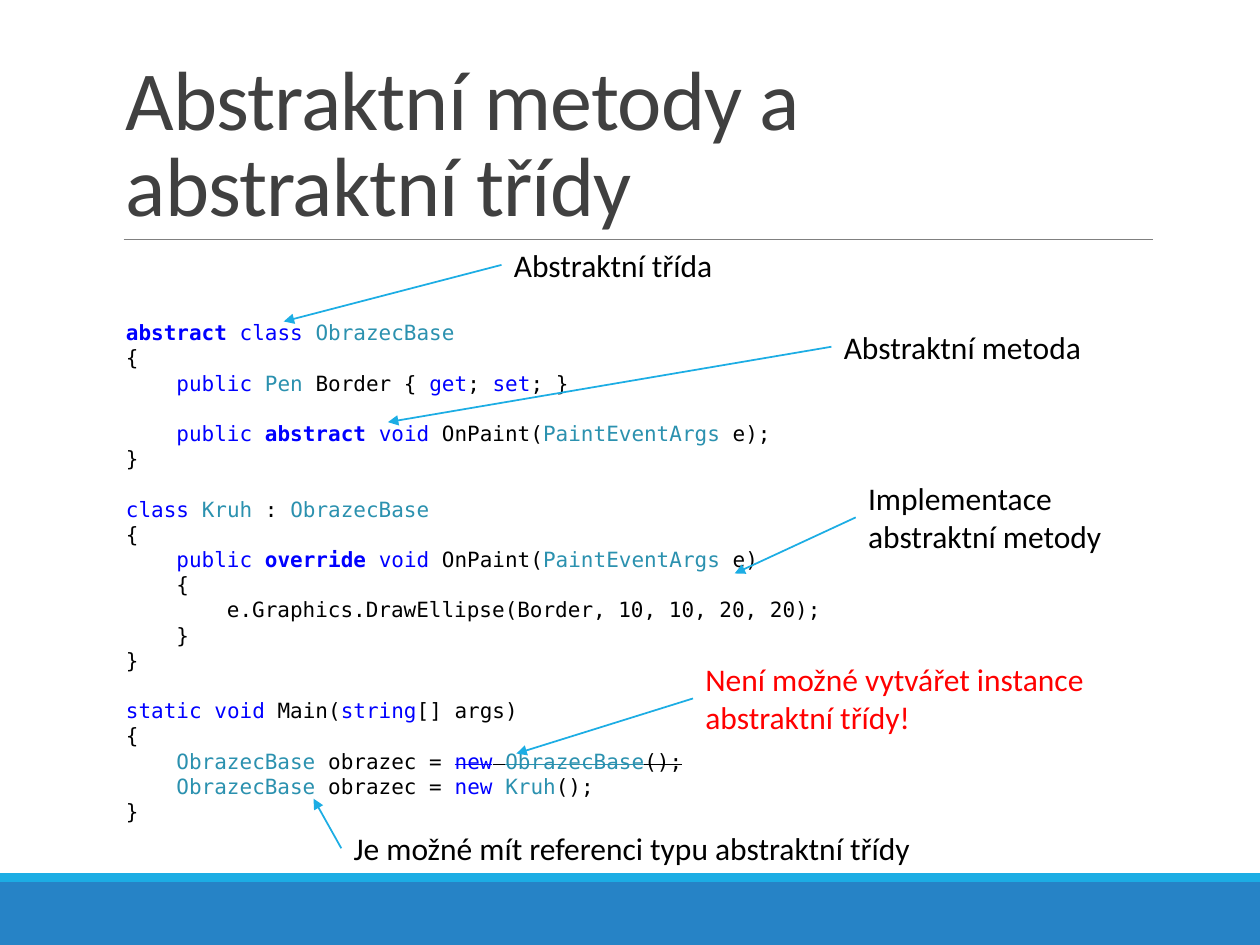
from lxml import etree
from pptx import Presentation
from pptx.dml.color import RGBColor
from pptx.enum import shapes, text
from pptx.oxml.ns import qn
from pptx.util import Cm, Pt

BLUE = RGBColor(0x26, 0x83, 0xC6)
CYAN = RGBColor(0x1C, 0xAD, 0xE4)
GRAY = RGBColor(0x80, 0x80, 0x80)
DARK = RGBColor(0x40, 0x40, 0x40)
BLACK = RGBColor(0, 0, 0)
RED = RGBColor(0xFF, 0, 0)
KEYWORD = RGBColor(0, 0, 0xFF)
TYPE = RGBColor(0x2B, 0x91, 0xAF)

KEYWORDS = {"abstract", "class", "public", "get", "set", "void", "override", "static", "string", "new"}
TYPES = {"ObrazecBase", "Pen", "PaintEventArgs", "Kruh"}
BOLD = {"abstract", "override"}
CODE = """abstract| |class| |ObrazecBase
{
    |public| |Pen| Border { |get|; |set|; }

    |public| |abstract| |void| OnPaint(|PaintEventArgs| e);
}

class| |Kruh| : |ObrazecBase
{
    |public| |override| |void| OnPaint(|PaintEventArgs| e)
    {
        e.Graphics.DrawEllipse(Border, 10, 10, 20, 20);
    }
}

static| |void| Main(|string|[] args)
{
    |ObrazecBase| obrazec = |~new|~ |~ObrazecBase|~();
    |ObrazecBase| obrazec = |new| |Kruh|();
}"""
CODE_PITCH = Pt(14.4)

CAPTIONS = [
    ("Abstraktní metoda", BLACK, 16.76, 6.48, 5.51, 1.02, 7.82, 8.51),
    ("Implementace abstraktní metody", BLACK, 17.25, 9.53, 6.2, 1.8, 14.81, 11.56),
    ("Abstraktní třída", BLACK, 10.11, 4.83, 5.51, 1.02, 5.72, 6.48),
    ("Není možné vytvářet instance abstraktní třídy!", RED, 13.97, 13.18, 8.31, 1.8, 10.41, 15.19),
    ("Je možné mít referenci typu abstraktní třídy", BLACK, 6.88, 16.59, 13.61, 1.02, 6.32, 16.1),
]

prs = Presentation()
prs.slide_width, prs.slide_height = Cm(25.4), Cm(19.05)
slide = prs.slides.add_slide(prs.slide_layouts[6])


def add_text(words, left, top, width, height, size, color):
    box = slide.shapes.add_textbox(Cm(left), Cm(top), Cm(width), Cm(height))
    frame = box.text_frame
    frame.word_wrap = True
    frame.text = words
    for run in frame.paragraphs[0].runs:
        run.font.name = "Calibri"
        run.font.size = Pt(size)
        run.font.color.rgb = color
    return frame


def add_line(x1, y1, x2, y2, color, width):
    line = slide.shapes.add_connector(shapes.MSO_CONNECTOR.STRAIGHT, Cm(x1), Cm(y1), Cm(x2), Cm(y2))
    line.line.color.rgb = color
    line.line.width = Pt(width)
    etree.SubElement(line._element.spPr, qn("a:effectLst"))
    return line


for top, height, color in [(17.78, 1.27, BLUE), (17.6, 0.18, CYAN)]:
    band = slide.shapes.add_shape(shapes.MSO_SHAPE.RECTANGLE, 0, Cm(top), prs.slide_width, Cm(height))
    band.shadow.inherit = False
    band.fill.solid()
    band.fill.fore_color.rgb = color
    band.line.fill.background()

add_line(2.49, 4.83, 23.24, 4.83, GRAY, 0.5)

title = add_text("Abstraktní metody a abstraktní třídy", 2.29, 0.79, 20.95, 4.04, 48, DARK)
title.vertical_anchor = text.MSO_ANCHOR.BOTTOM
title.paragraphs[0].line_spacing = 0.85
title.paragraphs[0].runs[0].font._element.set("spc", "-50")

listing = add_text("", 2.29, 6.32, 21.16, 10.52, 12, BLACK)
paragraph = listing.paragraphs[0]
for block_index, block in enumerate(CODE.split("\n\n")):
    for line_index, code_line in enumerate(block.split("\n")):
        if block_index or line_index:
            paragraph = listing.add_paragraph()
        paragraph.line_spacing = CODE_PITCH
        if block_index and not line_index:
            paragraph.space_before = CODE_PITCH
        for piece in code_line.split("|"):
            token = piece.lstrip("~")
            run = paragraph.add_run()
            run.text = token
            run.font.name = "DejaVu Sans Mono"
            run.font.size = Pt(12)
            run.font.bold = token in BOLD
            run.font.color.rgb = KEYWORD if token in KEYWORDS else TYPE if token in TYPES else BLACK
            if piece.startswith("~"):
                run.font._element.set("strike", "sngStrike")

for words, color, left, top, width, height, target_x, target_y in CAPTIONS:
    add_text(words, left, top, width, height, 18, color)
    arrow = add_line(left, top + height / 2, target_x, target_y, CYAN, 1)
    etree.SubElement(arrow.line._get_or_add_ln(), qn("a:tailEnd"), type="triangle")

prs.save("out.pptx")
